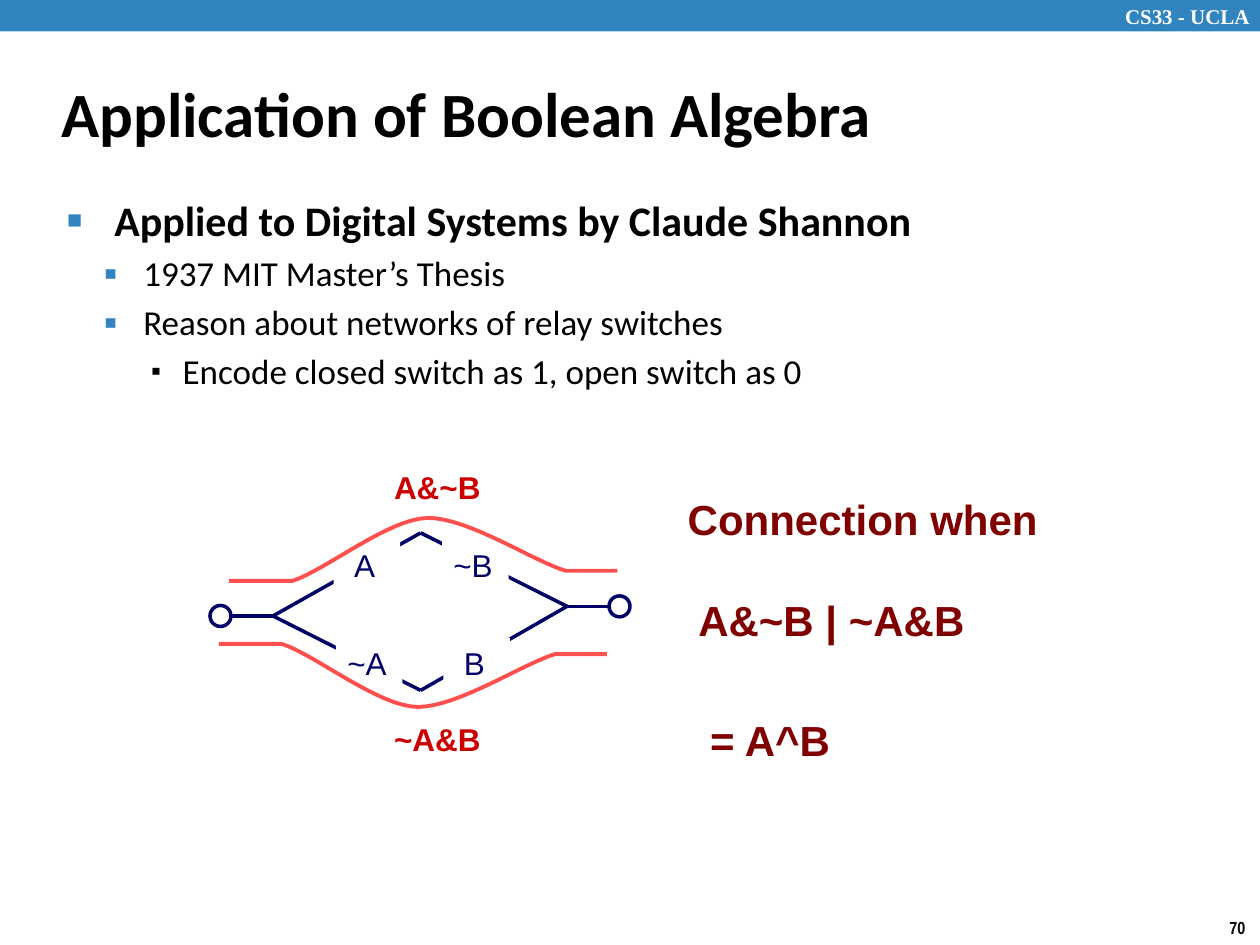
from lxml import etree
from pptx import Presentation
from pptx.dml.color import RGBColor
from pptx.enum.shapes import MSO_CONNECTOR, MSO_SHAPE
from pptx.enum.text import MSO_ANCHOR, PP_ALIGN
from pptx.oxml.ns import qn
from pptx.util import Pt

RECT, OVAL, STRAIGHT = MSO_SHAPE.RECTANGLE, MSO_SHAPE.OVAL, MSO_CONNECTOR.STRAIGHT
LEFT, CENTER = PP_ALIGN.LEFT, PP_ALIGN.CENTER
TOP, MIDDLE = MSO_ANCHOR.TOP, MSO_ANCHOR.MIDDLE

BLUE = RGBColor(0x32, 0x84, 0xBF)
NAVY = RGBColor(0x00, 0x00, 0x66)
CORAL = RGBColor(0xFF, 0x50, 0x50)
RED = RGBColor(0xCC, 0x00, 0x00)
MAROON = RGBColor(0x80, 0x00, 0x00)
BLACK = RGBColor(0x00, 0x00, 0x00)
WHITE = RGBColor(0xFF, 0xFF, 0xFF)

DEFAULT_INSETS = (7.2, 3.6, 7.2, 3.6)
HEADER_INSETS = (7.2, 0, 0, 0)
DIAGRAM_INSETS = (4.5, 3.6, 7.2, 3.6)
LABEL_INSETS = (4.5, 4, 3.6, 4)


def set_text(s, text, font, size, color, bold=False, align=LEFT,
             anchor=TOP, insets=DEFAULT_INSETS, wrap=False):
    tf = s.text_frame
    tf.text = text
    tf.word_wrap, tf.vertical_anchor = wrap, anchor
    tf.margin_left, tf.margin_top, tf.margin_right, tf.margin_bottom = map(Pt, insets)
    for p in tf.paragraphs:
        p.alignment = align
        for r in p.runs:
            r.font.name, r.font.size, r.font.bold = font, Pt(size), bold
            r.font.color.rgb = color
    return tf


def add_text(slide, box, *args, **kwargs):
    sp = slide.shapes.add_textbox(*map(Pt, box))
    return set_text(sp, *args, **kwargs)


def add_solid(slide, kind, box, fill, line=None):
    sp = slide.shapes.add_shape(kind, *map(Pt, box))
    sp.shadow.inherit = False
    sp.fill.solid()
    sp.fill.fore_color.rgb = fill
    if line is None:
        sp.line.fill.background()
    else:
        sp.line.color.rgb, sp.line.width = line, Pt(2)
    return sp


def add_wire(slide, start, end):
    line = slide.shapes.add_connector(STRAIGHT, *map(Pt, start + end))
    line.line.color.rgb, line.line.width = NAVY, Pt(2)
    etree.SubElement(line._element.spPr, qn("a:effectLst"))


def set_bullet(p, char, size, color, margin, indent):
    pPr = p._p.get_or_add_pPr()
    pPr.set("marL", str(Pt(margin)))
    pPr.set("indent", str(Pt(-indent)))
    bu_color = etree.SubElement(pPr, qn("a:buClr"))
    etree.SubElement(bu_color, qn("a:srgbClr"), val=str(color))
    etree.SubElement(pPr, qn("a:buSzPct"), val=str(size * 1000))
    etree.SubElement(pPr, qn("a:buFont"), typeface="Arial")
    etree.SubElement(pPr, qn("a:buChar"), char=char)


def bezier(p0, p1, p2, p3, steps=16):
    """Points along a cubic curve, without its start."""
    for i in range(1, steps + 1):
        t = i / steps
        u = 1 - t
        yield tuple(u**3 * a + 3 * u * u * t * b + 3 * u * t * t * c + t**3 * d
                    for a, b, c, d in zip(p0, p1, p2, p3))


def add_header(slide, left, top, width, height):
    add_solid(slide, RECT, (left, top, width, height), BLUE)
    add_text(slide, (left + width - 84.2, top, 84.2, height), "CS33 - UCLA",
             "Times New Roman", 12, WHITE, bold=True, anchor=MIDDLE, insets=HEADER_INSETS)


def add_body(slide, left, top, width, height):
    # text, level, size, bold, bullet, bullet size, bullet colour, margin, indent
    rows = [
        ("Applied to Digital Systems by Claude Shannon", 0, 24, True, "■", 60, BLUE, 27, 27),
        ("1937 MIT Master’s Thesis", 1, 20, False, "▪", 110, BLUE, 43.5, 22.5),
        ("Reason about networks of relay switches", 1, 20, False, "▪", 110, BLUE, 43.5, 22.5),
        ("Encode closed switch as 1, open switch as 0", 2, 20, False, "▪", 80, BLACK, 66, 18),
    ]
    tf = add_text(slide, (left, top, width, height), "\n".join(row[0] for row in rows),
                  "Calibri", 20, BLACK, wrap=True)
    for p, (_, level, size, bold, *bullet) in zip(tf.paragraphs, rows):
        p.level = level
        if level:
            p.space_before = Pt(4)
        set_bullet(p, *bullet)
        p.runs[0].font.size, p.runs[0].font.bold = Pt(size), bold


def add_path(slide, left, top, label, label_top, place):
    """Highlighted route through the network, with its expression."""
    start, bend, crest, drop, end = map(
        place, [(11, 66), (47, 66), (124.8, 30), (203.3, 60.2), (232.8, 60.2)])
    rise = map(place, [(65.7, 60.2), (102.5, 30)])
    fall = map(place, [(147.8, 30), (185.3, 55)])
    points = [bend, *bezier(bend, *rise, crest), *bezier(crest, *fall, drop), end]
    builder = slide.shapes.build_freeform(Pt(left + start[0]), Pt(top + start[1]))
    builder.add_line_segments([(Pt(left + x), Pt(top + y)) for x, y in points], close=False)
    sp = builder.convert_to_shape()
    sp.shadow.inherit = False
    sp.fill.background()
    sp.line.color.rgb, sp.line.width = CORAL, Pt(2.25)
    tf = add_text(slide, (left + 100.3, top + label_top, 58.3, 30), label, "Arial", 18, RED,
                  bold=True, align=CENTER, insets=LABEL_INSETS)
    tf.paragraphs[0].line_spacing = 0.9


def add_network(slide, left, top):
    def at(x, y):
        return left + x, top + y

    # Diamond of wires
    west, north = at(36, 86), at(120.4, 38.5)
    south, east = at(120.4, 128.5), at(204, 80.5)
    for a, b in [(west, north), (west, south), (north, east), (south, east)]:
        add_wire(slide, a, b)

    # Relay switches
    for text, x, y in [("A", 70.6, 42.5), ("~A", 72, 98.5),
                       ("~B", 132.6, 42.5), ("B", 133.4, 98.5)]:
        sp = add_solid(slide, RECT, (*at(x, y), 38, 30), WHITE)
        set_text(sp, text, "Arial", 18, NAVY, align=CENTER, insets=DIAGRAM_INSETS)

    # Terminals
    add_wire(slide, east, at(228, 80.5))
    add_wire(slide, at(12, 86), west)
    for x, y in [(0, 80), (228, 74.5)]:
        add_solid(slide, OVAL, (*at(x, y), 12, 12), WHITE, NAVY)

    # Upper path, and the lower one mirrored and moved left
    add_path(slide, left, top, "A&~B", 0, lambda pt: pt)
    add_path(slide, left, top, "~A&B", 144, lambda pt: (pt[0] - 6, 168 - pt[1]))


def add_conclusion(slide, left, top):
    tf = add_text(slide, (left, top, 212.4, 100), "Connection when\nA&~B | ~A&B",
                  "Arial", 24, MAROON, bold=True, insets=DIAGRAM_INSETS)
    p = tf.paragraphs[1]
    p.space_before = Pt(29)
    p._p.get_or_add_pPr().set("marL", str(Pt(6)))
    add_text(slide, (left + 12.2, top + 126, 77.8, 36.7), "= A^B", "Arial", 24, MAROON,
             bold=True, align=CENTER, insets=LABEL_INSETS)


def main():
    prs = Presentation()
    prs.slide_width, prs.slide_height = Pt(720), Pt(540)
    slide = prs.slides.add_slide(prs.slide_layouts[6])
    add_header(slide, 0, 0, 720, 18)
    add_text(slide, (695.5, 520.5, 24.5, 19.5), "70", "Arial Narrow", 10, BLACK, bold=True)
    add_text(slide, (28, 34, 598, 60), "Application of Boolean Algebra",
             "Calibri", 36, BLACK, bold=True, anchor=MIDDLE, wrap=True)
    add_body(slide, 31.3, 107.5, 622, 391.7)
    add_network(slide, 120, 266)
    add_conclusion(slide, 388.5, 278.3)
    prs.save("out.pptx")


if __name__ == "__main__":
    main()
